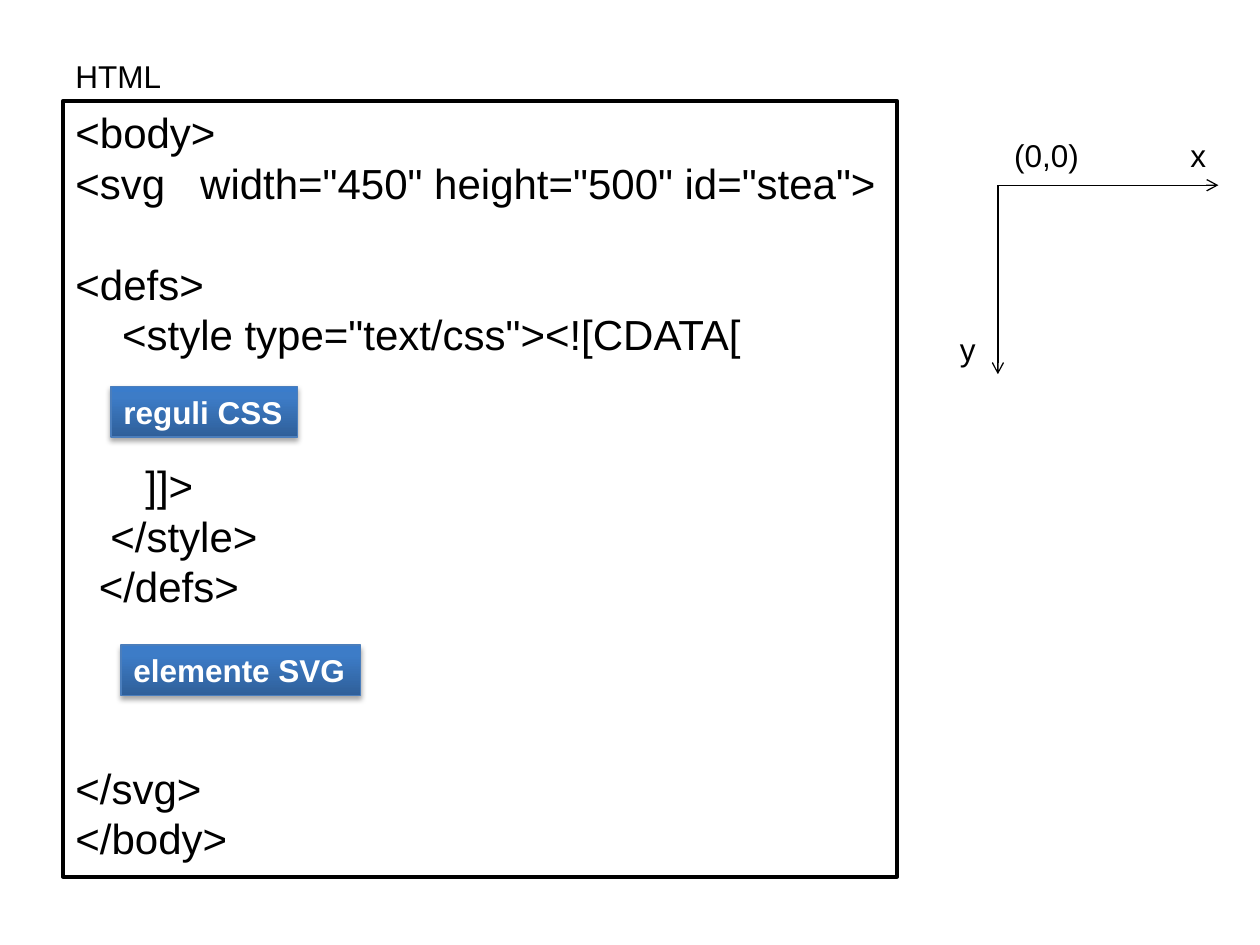
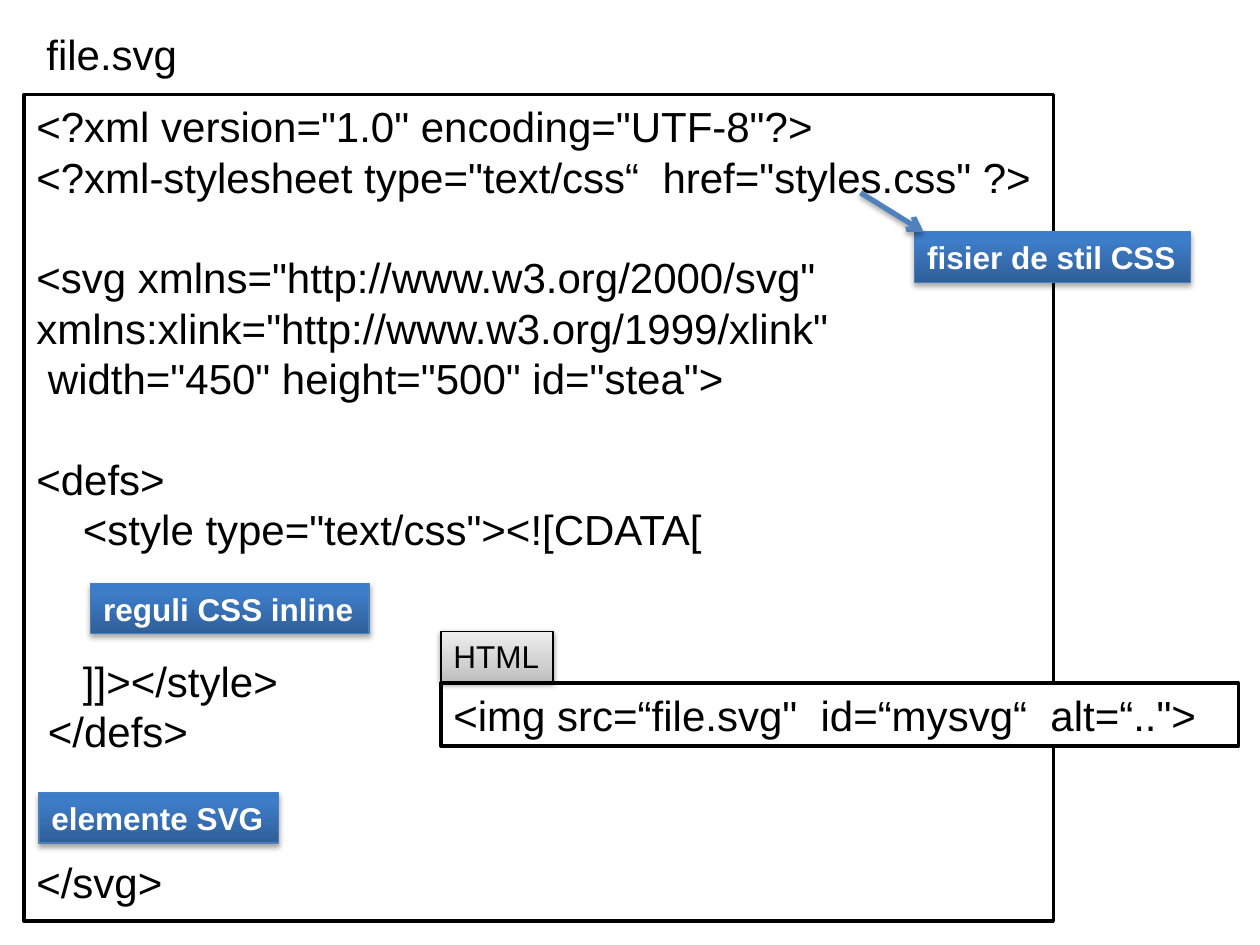
import dataclasses

import lxml.etree
import pptx
import pptx.dml.color
import pptx.enum.shapes
import pptx.enum.text
import pptx.oxml.ns
import pptx.util

Inches = pptx.util.Inches
Pt = pptx.util.Pt
qn = pptx.oxml.ns.qn
RECTANGLE = pptx.enum.shapes.MSO_SHAPE.RECTANGLE


@dataclasses.dataclass(frozen=True)
class Shadow:
    opacity: int
    blur: float
    distance: float


@dataclasses.dataclass(frozen=True)
class TagStyle:
    stops: tuple  # (percent, colour), from bottom to top
    outline: str
    text: str
    bold: bool
    shadow: Shadow


@dataclasses.dataclass(frozen=True)
class Theme:
    font: str = "Arial"
    ink: str = "000000"
    paper: str = "FFFFFF"
    accent: str = "4F81BD"
    code_size: int = 24
    label_size: int = 18
    line_factor: float = 1.2
    space_width: float = 0.278  # of the type size
    frame_width: float = 2
    thin_width: float = 0.75
    pointer_width: float = 3
    label_height: float = 0.4
    blue_tag: TagStyle = TagStyle(
        ((0, "2F5F99"), (80, "3D7CC7"), (100, "3A7CCB")),
        "4B7EBC", "FFFFFF", True, Shadow(35, 3.1, 1.8))
    grey_tag: TagStyle = TagStyle(
        ((0, "BDBDBD"), (35, "D1D1D1"), (100, "EEEEEE")),
        "000000", "000000", False, Shadow(38, 3.1, 1.6))


THEME = Theme()

HTML_CODE = """\
<body>
<svg   width="450" height="500" id="stea">

<defs>
    <style type="text/css"><![CDATA[


      ]]>
   </style>
  </defs>



</svg>
</body>"""

SVG_CODE = """\
<?xml version="1.0" encoding="UTF-8"?>
<?xml-stylesheet type="text/css“  href="styles.css" ?>

<svg xmlns="http://www.w3.org/2000/svg"
xmlns:xlink="http://www.w3.org/1999/xlink"
 width="450" height="500" id="stea">

<defs>
    <style type="text/css"><![CDATA[


    ]]></style>
 </defs>


</svg>"""

IMG_CODE = '<img src=“file.svg"  id=“mysvg“  alt=“..">'


def rgb(colour):
    return pptx.dml.color.RGBColor.from_string(colour)


def add_node(parent, tag, **attributes):
    values = {key: str(value) for key, value in attributes.items()}
    return lxml.etree.SubElement(parent, qn(tag), values)


def write(shape, text, size=THEME.label_size, colour=THEME.ink, bold=False, wrap=False):
    """Set lines of text; empty lines become space before, leading spaces an indent."""
    frame = shape.text_frame
    frame.word_wrap = wrap
    frame.vertical_anchor = pptx.enum.text.MSO_ANCHOR.TOP
    pitch = size * THEME.line_factor
    paragraph, skipped = frame.paragraphs[0], 0
    for number, line in enumerate(text.split("\n")):
        content = line.lstrip()
        if not content:
            skipped += 1
            continue
        if number:
            paragraph = frame.add_paragraph()
        paragraph.alignment = pptx.enum.text.PP_ALIGN.LEFT
        paragraph.line_spacing = Pt(pitch)
        paragraph.space_before = Pt(skipped * pitch)
        indent = (len(line) - len(content)) * size * THEME.space_width
        paragraph._p.get_or_add_pPr().set("marL", str(int(Pt(indent))))
        run = paragraph.add_run()
        run.text = content
        run.font.name = THEME.font
        run.font.size = Pt(size)
        run.font.bold = bold
        run.font.color.rgb = rgb(colour)
        skipped = 0


def set_shadow(shape, shadow=None):
    """Give the shape this shadow, or none at all."""
    effects = add_node(shape.element.spPr, "a:effectLst")
    if shadow:
        outer = add_node(effects, "a:outerShdw", blurRad=int(Pt(shadow.blur)),
                         dist=int(Pt(shadow.distance)), dir=90 * 60000, rotWithShape=0)
        black = add_node(outer, "a:srgbClr", val=THEME.ink)
        add_node(black, "a:alpha", val=shadow.opacity * 1000)


def set_line(shape, colour, width):
    shape.line.color.rgb = rgb(colour)
    shape.line.width = Pt(width)


def add_box(slide, left, top, width, height):
    return slide.shapes.add_shape(
        RECTANGLE, Inches(left), Inches(top), Inches(width), Inches(height))


def add_code(slide, code, left, top, width, height):
    frame = add_box(slide, left, top, width, height)
    frame.fill.solid()
    frame.fill.fore_color.rgb = rgb(THEME.paper)
    set_line(frame, THEME.ink, THEME.frame_width)
    set_shadow(frame)
    write(frame, code, size=THEME.code_size, wrap=True)


def add_tag(slide, text, left, top, width, style=THEME.blue_tag):
    tag = add_box(slide, left, top, width, THEME.label_height)
    tag.fill.gradient()
    tag.fill.gradient_angle = 90
    stops = tag.element.spPr.find(".//" + qn("a:gsLst"))
    stops.clear()
    for percent, colour in style.stops:
        stop = add_node(stops, "a:gs", pos=percent * 1000)
        add_node(stop, "a:srgbClr", val=colour)
    set_line(tag, style.outline, THEME.thin_width)
    set_shadow(tag, style.shadow)
    write(tag, text, colour=style.text, bold=style.bold)


def add_label(slide, text, left, top, width, height=THEME.label_height,
              size=THEME.label_size):
    label = slide.shapes.add_textbox(
        Inches(left), Inches(top), Inches(width), Inches(height))
    write(label, text, size=size)


def add_arrow(slide, start, end, colour=THEME.ink, width=THEME.thin_width, shadow=None):
    arrow = slide.shapes.add_connector(
        pptx.enum.shapes.MSO_CONNECTOR.STRAIGHT,
        *(Inches(value) for value in (*start, *end)))
    set_line(arrow, colour, width)
    add_node(arrow.element.spPr.find(qn("a:ln")), "a:tailEnd", type="arrow")
    set_shadow(arrow, shadow)


def build_html_slide(slide):
    add_code(slide, HTML_CODE, 0.5, 0.8, 6.62, 6.16)
    origin = (7.92, 1.47)
    for axis_end in ((9.67, origin[1]), (origin[0], 2.97)):
        add_arrow(slide, origin, axis_end)
    add_label(slide, "(0,0)", 7.95, 1.03, 0.72)
    add_label(slide, "x", 9.35, 1.03, 0.33)
    add_label(slide, "y", 7.52, 2.57, 0.33)
    add_label(slide, "HTML", 0.5, 0.4, 0.89)
    add_tag(slide, "reguli CSS", 0.88, 3.07, 1.48)
    add_tag(slide, "elemente SVG", 0.96, 5.12, 1.9)


def build_svg_file_slide(slide):
    add_code(slide, SVG_CODE, 0.19, 0.75, 8.17, 6.56)
    add_label(slide, "file.svg", 0.27, 0.18, 1.25, height=0.5, size=THEME.code_size)
    add_tag(slide, "reguli CSS inline", 0.72, 4.63, 2.21)
    add_tag(slide, "elemente SVG", 0.31, 6.29, 1.9)
    add_tag(slide, "fisier de stil CSS", 7.26, 1.84, 2.19)
    add_arrow(slide, (6.83, 1.53), (7.33, 1.84), THEME.accent,
              THEME.pointer_width, THEME.blue_tag.shadow)
    add_code(slide, IMG_CODE, 3.5, 5.42, 6.33, 0.5)
    add_tag(slide, "HTML", 3.5, 5.01, 0.89, THEME.grey_tag)


def main():
    deck = pptx.Presentation()
    deck.slide_width = Inches(10)
    deck.slide_height = Inches(7.5)
    blank = deck.slide_layouts[6]
    for build in (build_html_slide, build_svg_file_slide):
        build(deck.slides.add_slide(blank))
    deck.save("out.pptx")


if __name__ == "__main__":
    main()
